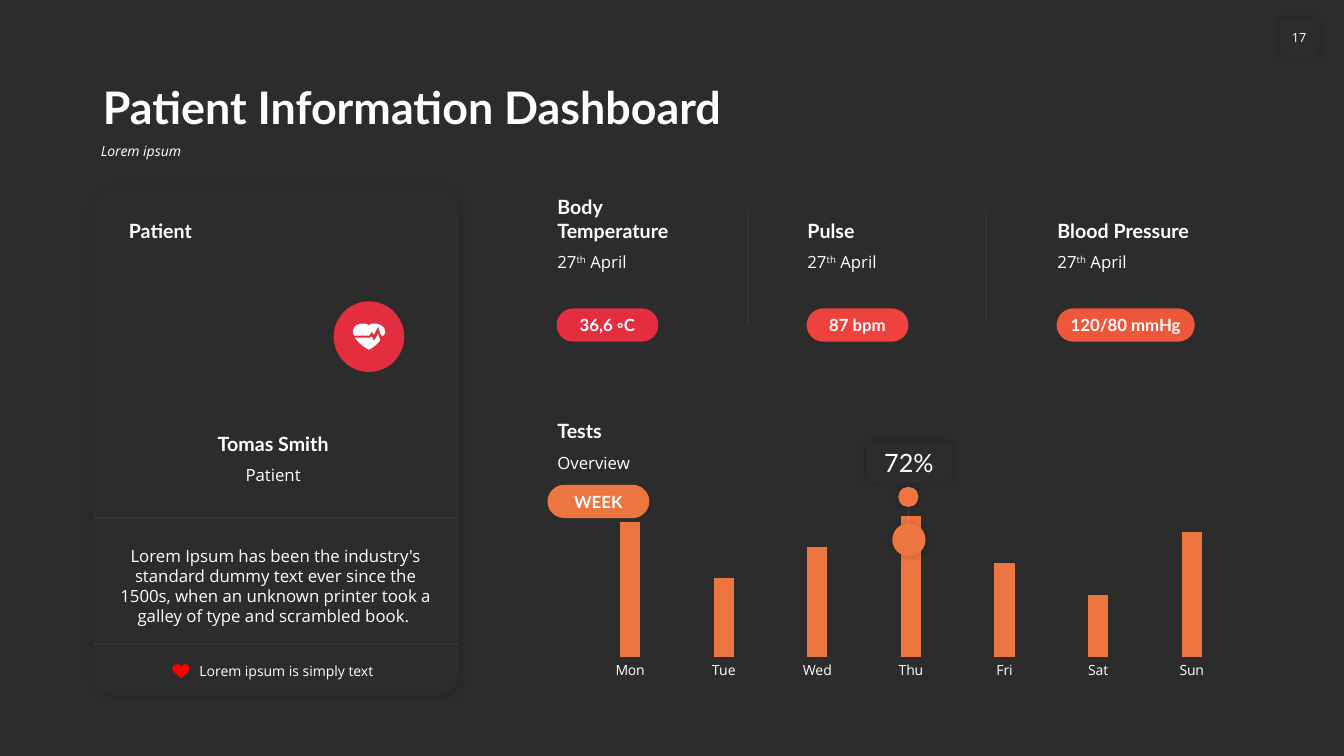
import pptx
import pptx.chart.data
import pptx.dml.color
import pptx.enum.chart
import pptx.enum.shapes
import pptx.enum.text
import pptx.oxml
import pptx.oxml.ns
import pptx.util
from dataclasses import dataclass

EMU_PER_PX = 9144  # 100 px to the inch
COLORS = {
    "back": "2C2C2C", "white": "FFFFFF", "black": "000000", "heart": "FF0000",
    "crimson": "E22E3F", "red": "EE423E", "coral": "EE583A", "orange": "ED753F",
}
ALIGN = pptx.enum.text.PP_ALIGN
ANCHOR = pptx.enum.text.MSO_ANCHOR
FIT = pptx.enum.text.MSO_AUTO_SIZE
SHAPE = pptx.enum.shapes.MSO_SHAPE
NS = pptx.oxml.ns.nsdecls("a")


@dataclass
class Style:
    size: int
    face: str = "Open Sans"
    bold: bool = False
    italic: bool = False


@dataclass
class Label:
    text: str
    place: tuple
    style: Style
    align: ALIGN = ALIGN.LEFT
    anchor: ANCHOR = ANCHOR.TOP


@dataclass
class Metric:
    name: str
    title_top: int
    title_height: int
    value: str
    pill_width: int
    color: str


@dataclass
class Shadow:
    alpha: int
    blur: int
    distance: int = 0


TITLE = Style(32, "Lato", bold=True)
HEADING = Style(14, "Lato", bold=True)
PILL = Style(12, "Lato", bold=True)
BODY = Style(12)
SMALL = Style(10)
SOFT = Shadow(20, 5)

LABELS = [
    Label("Patient", (118, 211, 320, 34), HEADING, anchor=ANCHOR.BOTTOM),
    Label("Tomas Smith", (171, 423, 200, 34), HEADING, ALIGN.CENTER, ANCHOR.BOTTOM),
    Label("Patient", (171, 456, 200, 30), BODY, ALIGN.CENTER),
    Label("Lorem Ipsum has been the industry's standard dummy text ever since the 1500s, "
          "when an unknown printer took a galley of type and scrambled book. ",
          (108, 536, 331, 91), BODY, ALIGN.CENTER),
    Label("Lorem ipsum is simply text", (188, 652, 196, 27), SMALL, anchor=ANCHOR.MIDDLE),
    Label("Tests", (543, 410, 286, 34), HEADING, anchor=ANCHOR.BOTTOM),
    Label("Overview", (543, 444, 286, 30), BODY),
]
METRICS = [
    Metric("Body Temperature", 188, 57, "36,6 ◦C", 101, "crimson"),
    Metric("Pulse", 211, 34, "87 bpm", 101, "red"),
    Metric("Blood Pressure", 211, 34, "120/80 mmHg", 137, "coral"),
]
METRIC_LEFT, METRIC_STEP = 543, 248
TESTS = {"Mon": 96, "Tue": 56, "Wed": 78, "Thu": 100, "Fri": 67, "Sat": 44, "Sun": 89}

# Outlines: two numbers make a corner, six a cubic curve
SMALL_HEART = [[
    (180, 673), (173, 667), (172, 666, 171, 664, 171, 663), (171, 661, 173, 659, 176, 659),
    (178, 659, 179, 660, 180, 661), (181, 660, 182, 659, 184, 659),
    (186, 659, 188, 661, 188, 663), (188, 664, 187, 666, 186, 667),
]]
PULSE_HEART = [
    [(375, 331), (377, 337), (377, 338), (375, 340, 372, 344, 366, 347),
     (358, 343, 354, 338, 352, 335), (367, 335), (369, 334), (371, 338), (373, 335)],
    [(360, 321), (362, 321, 364, 321, 366, 323), (367, 321, 370, 321, 372, 321),
     (377, 321, 382, 325, 382, 329), (382, 331, 381, 331, 381, 333), (378, 333), (376, 327),
     (375, 324), (371, 332), (370, 331), (369, 329), (366, 333), (351, 333),
     (351, 332, 350, 331, 350, 329), (350, 325, 354, 321, 360, 321)],
]


def px(*lengths: float) -> list:
    return [pptx.util.Emu(round(length * EMU_PER_PX)) for length in lengths]


def rgb(name: str) -> pptx.dml.color.RGBColor:
    return pptx.dml.color.RGBColor.from_string(COLORS[name])


def set_font(font, style: Style) -> None:
    font.size, font.name = pptx.util.Pt(style.size), style.face
    font.bold, font.italic = style.bold, style.italic
    font.color.rgb = rgb("white")


def add_label(page, label: Label):
    box = page.shapes.add_textbox(*px(*label.place))
    frame = box.text_frame
    frame.word_wrap, frame.auto_size = True, FIT.SHAPE_TO_FIT_TEXT
    frame.vertical_anchor = label.anchor
    para = frame.paragraphs[0]
    para.text, para.alignment = label.text, label.align
    set_font(para.font, label.style)
    return para


def paint(shape, color: str, shadow: Shadow | None = None) -> None:
    shape.fill.solid()
    shape.fill.fore_color.rgb = rgb(color)
    shape.line.fill.background()
    shape.shadow.inherit = False
    if shadow:
        effects = shape._element.spPr.find(pptx.oxml.ns.qn("a:effectLst"))
        effects.append(pptx.oxml.parse_xml(
            f'<a:outerShdw {NS} blurRad="{shadow.blur * 12700}" dist="{shadow.distance * 12700}"'
            f' dir="2700000" algn="ctr" rotWithShape="0"><a:srgbClr val="{COLORS["black"]}">'
            f'<a:alpha val="{shadow.alpha * 1000}"/></a:srgbClr></a:outerShdw>'))


def add_block(page, kind: SHAPE, place: tuple, color: str, shadow: Shadow | None = None,
              corner: float | None = None):
    shape = page.shapes.add_shape(kind, *px(*place))
    if corner is not None:
        shape.adjustments[0] = corner
    paint(shape, color, shadow)
    return shape


def write_in(shape, text: str, style: Style, insets: tuple, wrap: bool = True) -> None:
    frame = shape.text_frame
    frame.word_wrap, frame.vertical_anchor = wrap, ANCHOR.MIDDLE
    frame.margin_left, frame.margin_top = px(*insets)
    frame.margin_right, frame.margin_bottom = px(*insets)
    para = frame.paragraphs[0]
    para.text, para.alignment = text, ALIGN.CENTER
    set_font(para.font, style)


def add_pill(page, text: str, left: int, top: int, width: int, color: str) -> None:
    pill = add_block(page, SHAPE.ROUNDED_RECTANGLE, (left, top, width, 33), color, corner=0.5)
    write_in(pill, text, PILL, (0, 0))


def add_rule(page, *ends: int) -> None:
    rule = page.shapes.add_connector(pptx.enum.shapes.MSO_CONNECTOR.STRAIGHT, *px(*ends))
    rule.line.width = pptx.util.Pt(0.5)
    rule.line.color.rgb = rgb("white")
    props = rule._element.spPr
    tint = next(props.iter(pptx.oxml.ns.qn("a:srgbClr")))
    tint.append(pptx.oxml.parse_xml(f'<a:alpha {NS} val="10000"/>'))
    props.append(pptx.oxml.parse_xml(f"<a:effectLst {NS}/>"))


def flatten(contour: list, steps: int = 8) -> list:
    points = [contour[0]]
    for part in contour[1:]:
        if len(part) == 2:
            points.append(part)
            continue
        curve = [points[-1], part[:2], part[2:4], part[4:]]
        for step in range(1, steps + 1):
            t = step / steps
            weights = ((1 - t) ** 3, 3 * t * (1 - t) ** 2, 3 * t * t * (1 - t), t ** 3)
            points.append(tuple(sum(w * p[axis] for w, p in zip(weights, curve))
                                for axis in (0, 1)))
    return [px(*point) for point in points]


def add_outline(page, contours: list, color: str) -> None:
    first, *others = [flatten(contour) for contour in contours]
    builder = page.shapes.build_freeform(*first[0], scale=1.0)
    builder.add_line_segments(first[1:], close=True)
    for points in others:
        builder.move_to(*points[0])
        builder.add_line_segments(points[1:], close=True)
    paint(builder.convert_to_shape(), color)


def fill_placeholder(holder, text: str, place: tuple, style: Style, anchor: ANCHOR) -> None:
    holder.left, holder.top, holder.width, holder.height = px(*place)
    frame = holder.text_frame
    frame.auto_size, frame.vertical_anchor, frame.word_wrap = FIT.NONE, anchor, True
    para = frame.paragraphs[0]
    para.text, para.alignment, para.line_spacing = text, ALIGN.LEFT, 0.9
    para.space_before = pptx.util.Pt(0)
    props = para._p.get_or_add_pPr()
    props.set("marL", "0")
    props.set("indent", "0")
    props.append(pptx.oxml.parse_xml(f"<a:buNone {NS}/>"))
    set_font(para.font, style)


def add_tests_chart(page) -> None:
    data = pptx.chart.data.CategoryChartData()
    data.categories = list(TESTS)
    data.add_series("Series 1", list(TESTS.values()))
    kind = pptx.enum.chart.XL_CHART_TYPE.COLUMN_CLUSTERED
    chart = page.shapes.add_chart(kind, *px(565, 494, 677, 184), data).chart
    chart.has_legend = chart.has_title = False
    set_font(chart.font, BODY)
    plot = chart.plots[0]
    plot.gap_width, plot.overlap, plot.vary_by_categories = 360, -30, False
    bars = plot.series[0].format.fill
    bars.solid()
    bars.fore_color.rgb = rgb("orange")
    days, values = chart.category_axis, chart.value_axis
    days.major_tick_mark = pptx.enum.chart.XL_TICK_MARK.NONE
    days.format.line.fill.background()
    set_font(days.tick_labels.font, SMALL)
    values.minimum_scale, values.maximum_scale = 0, 100
    values.has_major_gridlines = values.visible = False
    area = chart._chartSpace.chart.plotArea
    for old in area.findall(pptx.oxml.ns.qn("c:layout")):
        area.remove(old)
    area.insert(0, pptx.oxml.parse_xml(
        f'<c:layout {pptx.oxml.ns.nsdecls("c")}><c:manualLayout><c:layoutTarget val="inner"/>'
        '<c:xMode val="edge"/><c:yMode val="edge"/><c:x val="0.02"/><c:y val="0.1"/>'
        '<c:w val="0.96"/><c:h val="0.76"/></c:manualLayout></c:layout>'))


def main() -> None:
    deck = pptx.Presentation()
    deck.slide_width, deck.slide_height = px(1333, 750)
    page = deck.slides.add_slide(deck.slide_layouts[1])
    page.background.fill.solid()
    page.background.fill.fore_color.rgb = rgb("back")

    # Heading and page number
    fill_placeholder(page.shapes.title, "Patient Information Dashboard", (92, 58, 1150, 80),
                     TITLE, ANCHOR.BOTTOM)
    fill_placeholder(page.placeholders[1], "Lorem ipsum", (90, 138, 1152, 36),
                     Style(10, italic=True), ANCHOR.TOP)
    number = add_block(page, SHAPE.ROUNDED_RECTANGLE, (1269, 18, 39, 39), "back", SOFT)
    write_in(number, "17", Style(9), (0, 5), wrap=False)

    # Patient card and all plain labels
    add_block(page, SHAPE.ROUNDED_RECTANGLE, (92, 188, 363, 502), "back", Shadow(15, 6, 1), 0.054)
    for top in (514, 639):
        add_rule(page, 92, top, 455, top)
    for label in LABELS:
        add_label(page, label)
    add_outline(page, SMALL_HEART, "heart")
    add_block(page, SHAPE.OVAL, (331, 299, 70, 70), "crimson")
    add_outline(page, PULSE_HEART, "white")

    # Metrics
    for index, metric in enumerate(METRICS):
        left = METRIC_LEFT + index * METRIC_STEP
        add_label(page, Label(metric.name, (left, metric.title_top, 166, metric.title_height),
                              HEADING, anchor=ANCHOR.BOTTOM))
        date = add_label(page, Label("27", (left, 245, 166, 30), BODY))
        ordinal = date.add_run()
        ordinal.text = "th"
        ordinal._r.get_or_add_rPr().set("baseline", "30000")
        date.add_run().text = " April"
        add_pill(page, metric.value, left + 9, 306, metric.pill_width, metric.color)
    for x in (742, 978):
        add_rule(page, x, 321, x, 208)

    # Tests chart with its marker
    add_tests_chart(page)
    add_block(page, SHAPE.OVAL, (885, 519, 33, 33), "orange", SOFT)
    add_rule(page, 901, 504, 901, 519)
    add_block(page, SHAPE.OVAL, (891, 483, 20, 20), "orange", SOFT)
    callout = add_block(page, SHAPE.ROUNDED_RECTANGLE, (859, 438, 85, 41), "back", SOFT)
    write_in(callout, "72%", Style(18, "Lato"), (8, 5))
    add_pill(page, "WEEK", 543, 481, 101, "orange")

    deck.save("out.pptx")


if __name__ == "__main__":
    main()
